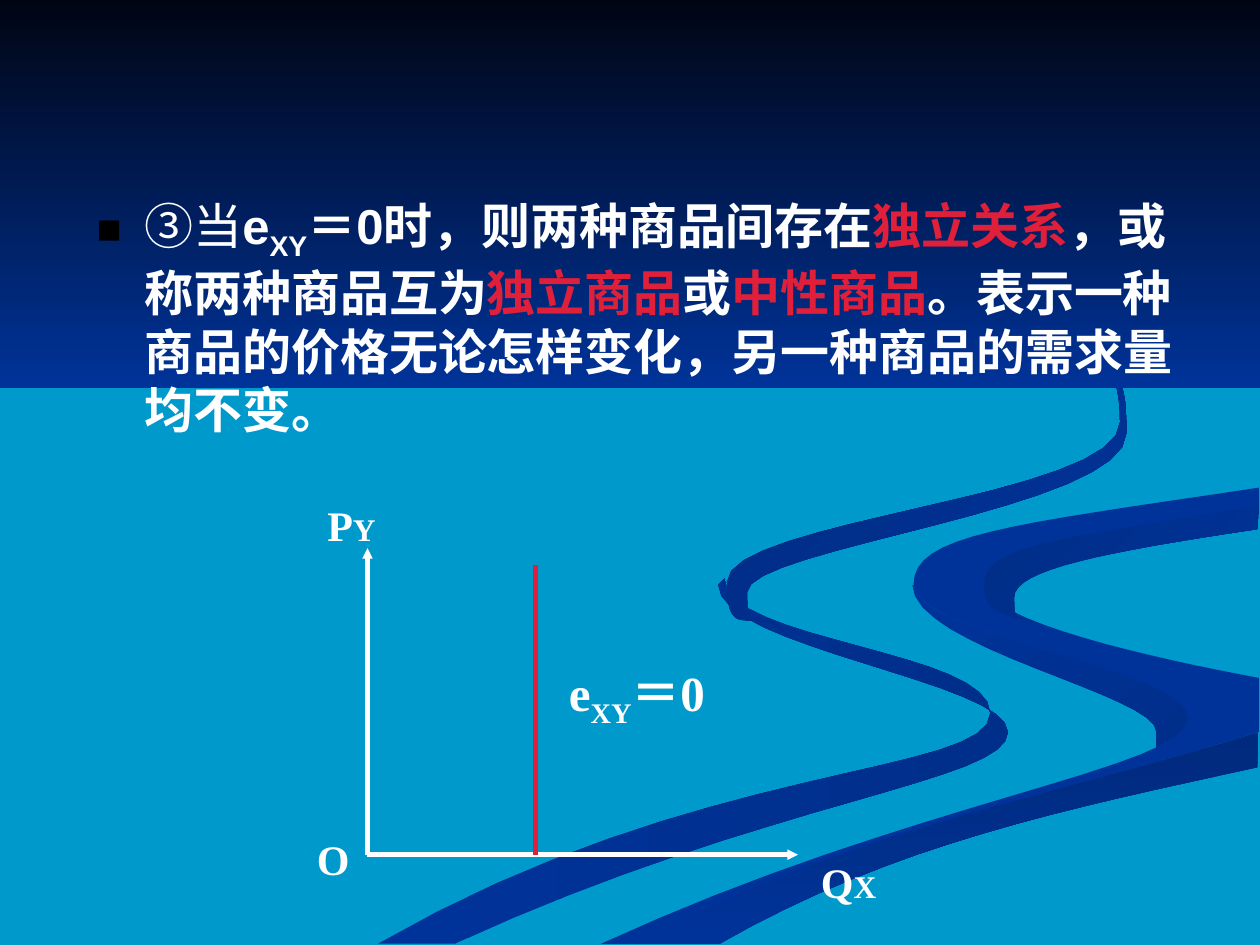
import itertools
import typing

import pptx
import pptx.util
import pptx.dml.color
import pptx.enum.shapes
import pptx.enum.text
import pptx.oxml
import pptx.oxml.ns

RGBColor = pptx.dml.color.RGBColor
WHITE = RGBColor(0xFF, 0xFF, 0xFF)
RED = RGBColor(0xE0, 0x20, 0x3B)
SKY = RGBColor(0x00, 0x99, 0xCC)
NIGHT = RGBColor(0x00, 0x05, 0x14)
BLUE = RGBColor(0x00, 0x33, 0x99)
BLUE_SHADE = RGBColor(0x00, 0x2E, 0x8B)
BLUE_DEEP = RGBColor(0x00, 0x2A, 0x7D)
BLUE_BEND = RGBColor(0x00, 0x2D, 0x86)
BLUE_FAR = RGBColor(0x00, 0x2B, 0x82)

WIDTH = pptx.util.Inches(10)
HEIGHT = pptx.util.Inches(7.5)
CELL = WIDTH // 120
STEPS_PER_CURVE = 16
POINTS_PER_PERCENT = 100

STATEMENT = [
    ("③当", WHITE, False, 0),
    ("e", WHITE, True, 0),
    ("XY", WHITE, True, -25),
    ("＝0时，则两种商品间存在", WHITE, True, 0),
    ("独立关系", RED, True, 0),
    ("，或称两种商品互为", WHITE, True, 0),
    ("独立商品", RED, True, 0),
    ("或", WHITE, True, 0),
    ("中性商品", RED, True, 0),
    ("。表示一种商品的价格无论怎样变化，另一种商品的需求量均不变。", WHITE, True, 0),
]


class Knot(typing.NamedTuple):
    x: float
    y: float
    run: float
    rise: float


def turn(x, y, rise):
    return Knot(x, y, 0, rise)


def bezier(start, first, second, end, t):
    s = 1 - t
    return s**3 * start + 3 * s * s * t * first + 3 * s * t * t * second + t**3 * end


def curve(*knots):
    points = []
    for a, b in itertools.pairwise(knots):
        for step in range(STEPS_PER_CURVE + 1):
            t = step / STEPS_PER_CURVE
            points.append((
                bezier(a.x, a.x + a.run, b.x - b.run, b.x, t),
                bezier(a.y, a.y + a.rise, b.y - b.rise, b.y, t),
            ))
    return points


def cells(*counts):
    return [round(count * CELL) for count in counts]


def add_element(parent, tag, **attributes):
    element = pptx.oxml.parse_xml(f"<a:{tag} {pptx.oxml.ns.nsdecls('a')}/>")
    for name, value in attributes.items():
        element.set(name, value)
    parent.append(element)
    return element


def add_ribbon(slide, bank, opposite_bank, first, last, angle=0):
    outline = [(round(x * POINTS_PER_PERCENT), round(y * POINTS_PER_PERCENT))
               for x, y in bank + opposite_bank[::-1]]
    scale = WIDTH / 100 / POINTS_PER_PERCENT
    builder = slide.shapes.build_freeform(*outline[0], scale=scale)
    builder.add_line_segments(outline[1:], close=True)
    shape = builder.convert_to_shape()
    shape.shadow.inherit = False
    shape.line.fill.background()
    if first == last:
        shape.fill.solid()
        shape.fill.fore_color.rgb = first
        return
    shape.fill.gradient()
    shape.fill.gradient_angle = -angle % 360
    for stop, color in zip(shape.fill.gradient_stops, (first, last)):
        stop.color.rgb = color


def add_near_stream(slide):
    upper = curve(turn(57.5, 45.9, 5), turn(78.6, 56.6, 5), Knot(30, 74.9, -25.3, 14.6))
    lower = curve(turn(57, 46.4, 5), turn(80, 58.1, 4), Knot(36.1, 74.9, -25, 11.5))
    add_ribbon(slide, upper, lower, BLUE, BLUE_SHADE)


def add_river(slide):
    west_turn = turn(72.5, 46.4, 4)
    east_turn = turn(94.3, 57, 4)
    inlet_turn = turn(78.1, 46.3, 3)
    inlet = Knot(99.9, 40.2, -16, 2.6)
    upper_shore = curve(Knot(99.9, 38.7, -20, 3), west_turn, east_turn,
                        Knot(47.7, 74.9, -25, 11.5))
    inlet_shore = curve(inlet, inlet_turn, Knot(99.9, 53.8, 8, 1.5))
    crest = curve(Knot(99.9, 58.1, -16, 5), Knot(50.3, 74.9, -17, 9))
    foot = curve(Knot(99.8, 60.9, -15, 3.3), Knot(57.1, 74.9, -14, 8))

    inner_tip = Knot(89.4, 60.5, -2, 1)
    outer_tip = Knot(82.6, 49.6, 2, 1)
    inner_edge = curve(turn(72.4, 46.4, 5), turn(91.8, 58.1, 3), inner_tip)
    outer_edge = curve(Knot(99.8, 42, -12, 1.8), turn(80.5, 47.4, 2.2), outer_tip)

    add_ribbon(slide, curve(west_turn, east_turn, inner_tip), inner_edge,
               BLUE, BLUE_SHADE, 45)
    add_ribbon(slide, crest, foot, BLUE_DEEP, BLUE, 90)
    add_ribbon(slide, upper_shore, inlet_shore + crest, BLUE, BLUE)
    add_ribbon(slide, curve(inlet, inlet_turn, outer_tip), outer_edge,
               BLUE_BEND, BLUE, 45)


def add_far_stream(slide):
    tip = Knot(62.2, 50, 2.5, 2)
    west = curve(Knot(84.3, 27.5, 2, 2), turn(88.9, 33.5, 6), turn(57.7, 46.2, 5), tip)
    east = curve(Knot(86.4, 29.1, 2, 2), turn(89.4, 34.4, 6), turn(59.3, 47, 3.5), tip)
    add_ribbon(slide, west, east, BLUE_FAR, BLUE, 45)


def add_night_sky(slide):
    horizon = 30.8
    add_ribbon(slide, [(0, 0), (100, 0)], [(0, horizon), (100, horizon)], NIGHT, BLUE, 90)


def add_run(paragraph, text, font, size, color=WHITE, bold=True, baseline=0):
    run = paragraph.add_run()
    run.text = text
    run.font.name = font
    run.font.size = pptx.util.Pt(size)
    run.font.bold = bold
    run.font.color.rgb = color
    if baseline:
        run.font._element.set("baseline", str(baseline * 1000))


def fill_statement(slide):
    body = slide.placeholders[1]
    slide.shapes.element.append(body.element)
    body.left, body.top, body.width, body.height = cells(8, 18, 105, 68.9)
    body.text_frame.auto_size = pptx.enum.text.MSO_AUTO_SIZE.NONE
    paragraph = body.text_frame.paragraphs[0]
    properties = paragraph._p.get_or_add_pPr()
    indent = pptx.util.Inches(0.38)
    properties.set("marL", str(indent))
    properties.set("indent", str(-indent))
    add_element(add_element(properties, "buClr"), "srgbClr", val="000000")
    add_element(properties, "buSzPct", val="85000")
    add_element(properties, "buFont", typeface="Arial")
    add_element(properties, "buChar", char="■")
    paragraph.space_before = pptx.util.Pt(0)
    for text, color, bold, baseline in STATEMENT:
        add_run(paragraph, text, "Arial", 28, color, bold, baseline)


def add_line(slide, start, end, color, arrow=False):
    connector = slide.shapes.add_connector(
        pptx.enum.shapes.MSO_CONNECTOR.STRAIGHT, *cells(*start, *end))
    connector.line.color.rgb = color
    connector.line.width = pptx.util.Pt(3)
    properties = connector.element.spPr
    if arrow:
        outline = properties.find(pptx.oxml.ns.qn("a:ln"))
        add_element(outline, "tailEnd", type="triangle", w="sm", len="sm")
    add_element(properties, "effectLst")


def add_label(slide, area, *runs):
    box = slide.shapes.add_textbox(*cells(*area))
    box.text_frame.word_wrap = True
    box.text_frame.auto_size = pptx.enum.text.MSO_AUTO_SIZE.SHAPE_TO_FIT_TEXT
    paragraph = box.text_frame.paragraphs[0]
    for text, size, baseline in runs:
        add_run(paragraph, text, "Times New Roman", size, baseline=baseline)


def add_demand_diagram(slide):
    left, base = 35, 81.4
    demand = 51
    add_line(slide, (left, base), (left, 52.2), WHITE, arrow=True)
    add_line(slide, (left, base), (76, base), WHITE, arrow=True)
    add_label(slide, (53, 62.5, 17, 13.2), ("e", 28, 0), ("XY", 28, -25), ("＝0", 28, 0))
    add_label(slide, (30, 47, 11, 6), ("P", 24, 0), ("Y", 18, 0))
    add_label(slide, (29, 78.8, 11, 6), ("O", 24, 0))
    add_line(slide, (demand, base), (demand, 53.8), RED)
    add_label(slide, (77, 81, 14, 6), ("Q", 24, 0), ("X", 18, 0))


def main():
    presentation = pptx.Presentation()
    presentation.slide_width, presentation.slide_height = WIDTH, HEIGHT
    slide = presentation.slides.add_slide(presentation.slide_layouts[1])
    slide.background.fill.solid()
    slide.background.fill.fore_color.rgb = SKY
    slide.shapes.element.remove(slide.shapes.title.element)
    add_near_stream(slide)
    add_river(slide)
    add_far_stream(slide)
    add_night_sky(slide)
    fill_statement(slide)
    add_demand_diagram(slide)
    presentation.save("out.pptx")


if __name__ == "__main__":
    main()
